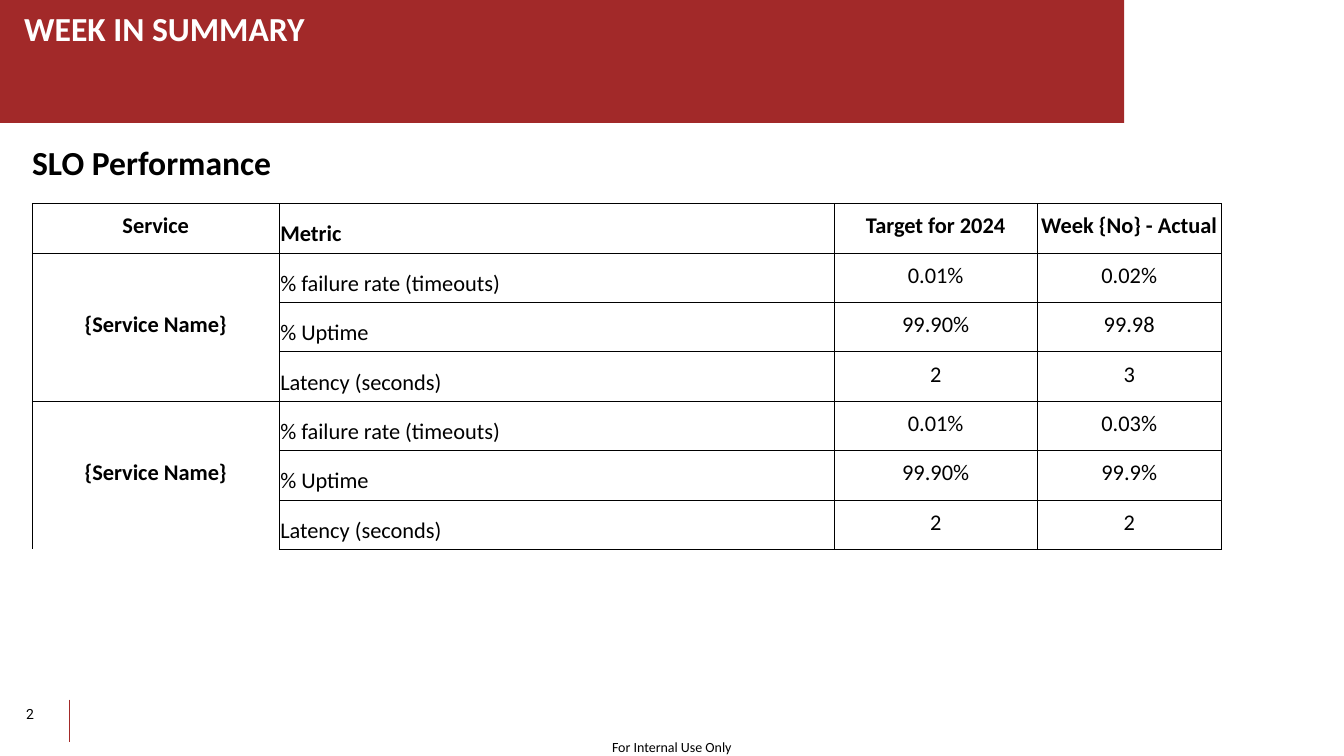
from lxml.etree import SubElement
from pptx import Presentation
from pptx.dml.color import RGBColor
from pptx.enum.shapes import MSO_CONNECTOR, MSO_SHAPE
from pptx.enum.text import MSO_ANCHOR, PP_ALIGN
from pptx.oxml.ns import qn
from pptx.util import Inches, Pt

RED = RGBColor(0xA2, 0x29, 0x29)
RULE_RED = RGBColor(0xA3, 0x2A, 0x29)
BLACK = RGBColor(0, 0, 0)
WHITE = RGBColor(255, 255, 255)

SLIDE_WIDTH, SLIDE_HEIGHT = Inches(13.33), Inches(7.5)
COLUMN_WIDTHS = (2.45, 5.5, 2.02, 1.82)
ROW_HEIGHT = 0.49
METRICS = ("% failure rate (timeouts)", "% Uptime", "Latency (seconds)")
TARGETS = ("0.01%", "99.90%", "2")
HEADINGS = ("Service", "Metric", "Target for 2024", "Week {No} - Actual")
SERVICES = (
    ("{Service Name}", ("0.02%", "99.98", "3")),
    ("{Service Name}", ("0.03%", "99.9%", "2")),
)


def add_run(paragraph, text, size, color=BLACK, bold=False, font_name="Calibri"):
    run = paragraph.add_run()
    run.text = text
    run.font.name = font_name
    run.font.size = Pt(size)
    run.font.bold = bold
    run.font.color.rgb = color


def add_label(slide, text, box, size, inset=None, wrap=True, **style):
    shape = slide.shapes.add_textbox(*(Inches(length) for length in box))
    frame = shape.text_frame
    frame.word_wrap = wrap
    if inset is not None:
        frame.margin_left = frame.margin_right = Inches(inset)
        frame.margin_top = frame.margin_bottom = Inches(inset)
    add_run(frame.paragraphs[0], text, size, **style)


def add_band(slide):
    band = slide.shapes.add_shape(
        MSO_SHAPE.RECTANGLE, 0, 0, Inches(11.15), Inches(1.22))
    band.shadow.inherit = False
    band.fill.solid()
    band.fill.fore_color.rgb = RED
    band.line.fill.background()


def add_rule(slide, left, top, bottom):
    rule = slide.shapes.add_connector(
        MSO_CONNECTOR.STRAIGHT, Inches(left), Inches(top), Inches(left), Inches(bottom))
    rule.line.color.rgb = RULE_RED
    rule.line.width = Pt(0.5)
    SubElement(rule._element.spPr, qn("a:effectLst"))


def place_title(slide, text):
    title = slide.shapes.title
    title.left, title.top = 0, Inches(0.07)
    title.width, title.height = Inches(11.13), Inches(0.67)
    # Bring the title in front of the band
    title._element.getparent().append(title._element)
    frame = title.text_frame
    frame.word_wrap = True
    frame.vertical_anchor = MSO_ANCHOR.TOP
    paragraph = frame.paragraphs[0]
    paragraph.alignment = PP_ALIGN.LEFT
    paragraph.line_spacing = 0.9
    paragraph.space_before = Pt(0)
    properties = paragraph._p.get_or_add_pPr()
    properties.set("marL", str(Inches(0.14)))
    properties.set("indent", "0")
    add_run(paragraph, text, 24, WHITE, True)


def set_borders(cell, visible_sides):
    properties = cell._tc.get_or_add_tcPr()
    for side in "LRTB":
        line = SubElement(properties, qn(f"a:ln{side}"), w=str(Pt(0.5)))
        if side in visible_sides:
            fill = SubElement(line, qn("a:solidFill"))
            SubElement(fill, qn("a:srgbClr"), val=str(BLACK))
        else:
            SubElement(line, qn("a:noFill"))


def format_cell(cell, text, row, column):
    is_service = column == 0 and row > 0
    starts_service = row % len(METRICS) == 1
    set_borders(cell, ("LRT" if starts_service else "LR") if is_service else "LRTB")
    cell.fill.background()
    cell.margin_left = cell.margin_right = cell.margin_top = Inches(0.01)
    cell.margin_bottom = Inches(0.05)
    is_metric = column == 1
    cell.vertical_anchor = MSO_ANCHOR.BOTTOM if is_metric else MSO_ANCHOR.MIDDLE
    paragraph = cell.text_frame.paragraphs[0]
    paragraph.alignment = PP_ALIGN.LEFT if is_metric else PP_ALIGN.CENTER
    paragraph.font.size = Pt(16)
    if text:
        add_run(paragraph, text, 16, bold=row == 0 or column == 0)


def add_performance_table(slide, left, top):
    rows = [HEADINGS]
    for name, actuals in SERVICES:
        names = (name,) + ("",) * (len(METRICS) - 1)
        rows.extend(zip(names, METRICS, TARGETS, actuals))
    frame = slide.shapes.add_table(
        len(rows), len(HEADINGS), Inches(left), Inches(top),
        Inches(sum(COLUMN_WIDTHS)), Inches(ROW_HEIGHT * len(rows)))
    table = frame.table
    table.first_row = table.horz_banding = False
    for column, width in zip(table.columns, COLUMN_WIDTHS):
        column.width = Inches(width)
    for row_index, values in enumerate(rows):
        table.rows[row_index].height = Inches(ROW_HEIGHT)
        for column_index, value in enumerate(values):
            format_cell(table.cell(row_index, column_index), value,
                        row_index, column_index)
    # One tall name cell for each service
    for first in range(1, len(rows), len(METRICS)):
        table.cell(first, 0).merge(table.cell(first + len(METRICS) - 1, 0))


def main():
    presentation = Presentation()
    presentation.slide_width, presentation.slide_height = SLIDE_WIDTH, SLIDE_HEIGHT
    slide = presentation.slides.add_slide(presentation.slide_layouts[5])

    # Footer
    add_label(slide, "2", (0.16, 6.95, 0.52, 0.4), 10, font_name="Roboto")
    add_rule(slide, 0.69, 6.94, 7.36)
    add_label(slide, "For Internal Use Only", (6.07, 7.33, 1.22, 0.17), 10,
              inset=0, wrap=False)

    # Header
    add_band(slide)
    place_title(slide, "WEEK IN SUMMARY")

    # Performance section
    add_label(slide, "SLO Performance", (0.22, 1.36, 3, 0.5), 24, bold=True)
    add_performance_table(slide, 0.32, 2.02)

    presentation.save("out.pptx")


if __name__ == "__main__":
    main()
